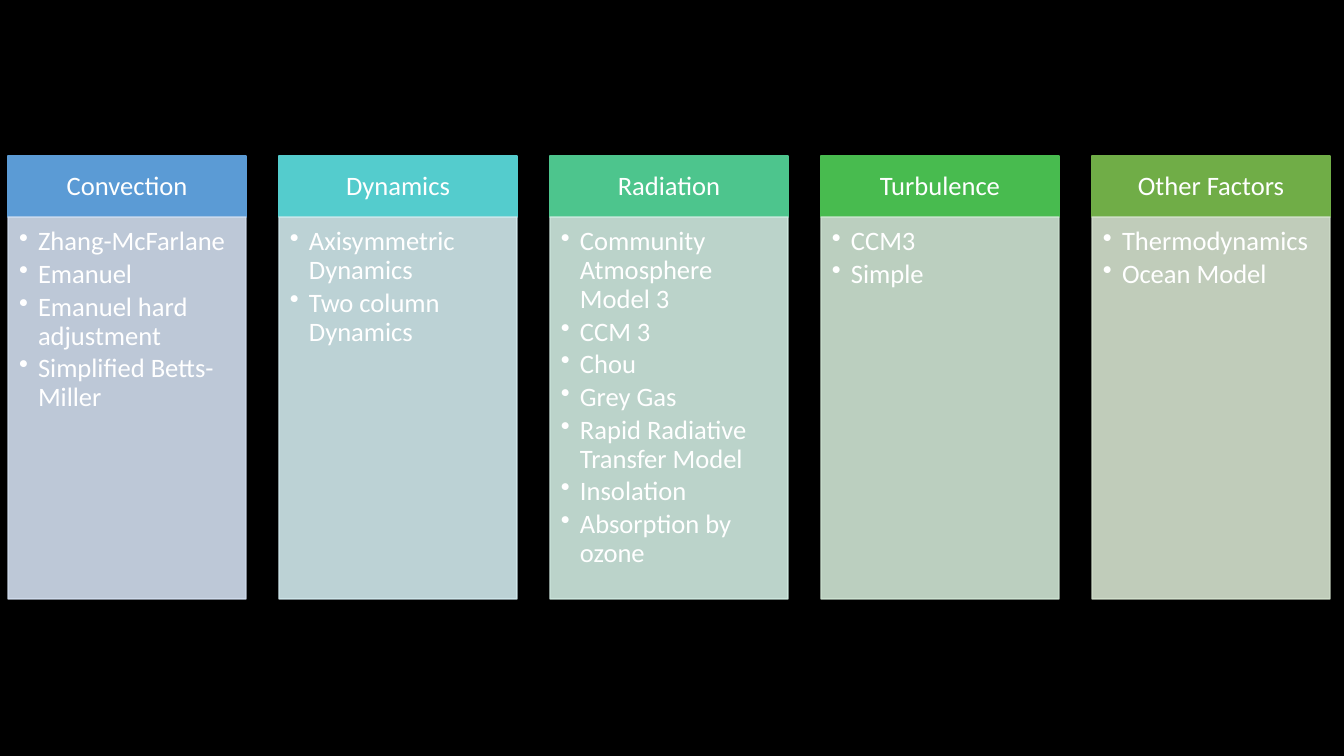
from dataclasses import dataclass

from lxml.etree import SubElement
from pptx import Presentation
from pptx.dml.color import RGBColor
from pptx.enum.shapes import MSO_SHAPE
from pptx.enum.text import MSO_ANCHOR, PP_ALIGN
from pptx.oxml.ns import qn
from pptx.shapes.autoshape import Shape
from pptx.slide import Slide
from pptx.text.text import _Paragraph
from pptx.util import Emu, Pt

SLIDE_WIDTH, SLIDE_HEIGHT = 1344, 756
FIRST_LEFT, COLUMN_STEP, COLUMN_WIDTH = 8, 271, 238
HEADER_TOP, HEADER_HEIGHT, BODY_HEIGHT = 156, 61, 382
HEADER_INSETS = (15, 8, 15, 8)
BODY_INSETS = (11, 11, 15, 17)
BULLET_INDENT = 19
FONT_NAME, FONT_SIZE = "Calibri", 19

COLORS = {
    "background": "000000",
    "text": "FFFFFF",
    "blue": "5B9BD5",
    "pale blue": "D2DEEF",
    "cyan": "54CCCD",
    "pale cyan": "D1E9ED",
    "teal": "4DC58D",
    "pale teal": "D0EAE1",
    "green": "48BB4F",
    "pale green": "D0E6D4",
    "olive": "70AD47",
    "pale olive": "D5E3CF",
}


@dataclass(frozen=True)
class ModelColumn:
    heading: str
    color: str
    options: tuple[str, ...]


COLUMNS = (
    ModelColumn("Convection", "blue", (
        "Zhang-McFarlane", "Emanuel", "Emanuel hard adjustment", "Simplified Betts-Miller")),
    ModelColumn("Dynamics", "cyan", ("Axisymmetric Dynamics", "Two column Dynamics")),
    ModelColumn("Radiation", "teal", (
        "Community Atmosphere Model 3", "CCM 3", "Chou", "Grey Gas",
        "Rapid Radiative Transfer Model", "Insolation", "Absorption by ozone")),
    ModelColumn("Turbulence", "green", ("CCM3", "Simple")),
    ModelColumn("Other Factors", "olive", ("Thermodynamics", "Ocean Model")),
)


def px(length: int) -> Emu:
    return Emu(round(length * 12192000 / SLIDE_WIDTH))


def rgb(name: str) -> RGBColor:
    return RGBColor.from_string(COLORS[name])


def add_panel(slide: Slide, left: int, top: int, height: int, color: str,
              insets: tuple[int, int, int, int], anchor: MSO_ANCHOR) -> Shape:
    panel = slide.shapes.add_shape(
        MSO_SHAPE.RECTANGLE, px(left), px(top), px(COLUMN_WIDTH), px(height))
    panel.shadow.inherit = False
    panel.fill.solid()
    panel.fill.fore_color.rgb = rgb(color)
    panel.line.color.rgb = rgb(color)
    panel.line.width = Pt(1)
    frame = panel.text_frame
    frame.word_wrap = True
    frame.vertical_anchor = anchor
    frame.margin_left, frame.margin_top, frame.margin_right, frame.margin_bottom = map(px, insets)
    return panel


def make_translucent(panel: Shape, percent: int) -> None:
    for color in panel.element.spPr.iter(qn("a:srgbClr")):
        SubElement(color, qn("a:alpha"), val=str(percent * 1000))


def write_text(paragraph: _Paragraph, text: str, alignment: PP_ALIGN, space_after: float) -> None:
    paragraph.alignment = alignment
    paragraph.line_spacing = 0.9
    paragraph.space_after = Pt(space_after)
    run = paragraph.add_run()
    run.text = text
    run.font.name = FONT_NAME
    run.font.size = Pt(FONT_SIZE)
    run.font.color.rgb = rgb("text")


def add_bullet(paragraph: _Paragraph) -> None:
    paragraph.level = 1
    properties = paragraph._p.get_or_add_pPr()
    properties.set("marL", str(px(BULLET_INDENT)))
    properties.set("indent", str(-px(BULLET_INDENT)))
    SubElement(properties, qn("a:buChar"), char="•")


def add_column(slide: Slide, left: int, column: ModelColumn) -> None:
    header = add_panel(slide, left, HEADER_TOP, HEADER_HEIGHT, column.color,
                       HEADER_INSETS, MSO_ANCHOR.MIDDLE)
    write_text(header.text_frame.paragraphs[0], column.heading, PP_ALIGN.CENTER, FONT_SIZE * 0.35)
    body = add_panel(slide, left, HEADER_TOP + HEADER_HEIGHT, BODY_HEIGHT,
                     f"pale {column.color}", BODY_INSETS, MSO_ANCHOR.TOP)
    make_translucent(body, 90)
    frame = body.text_frame
    for index, option in enumerate(column.options):
        paragraph = frame.add_paragraph() if index else frame.paragraphs[0]
        add_bullet(paragraph)
        write_text(paragraph, option, PP_ALIGN.LEFT, FONT_SIZE * 0.15)


def main() -> None:
    presentation = Presentation()
    presentation.slide_width = px(SLIDE_WIDTH)
    presentation.slide_height = px(SLIDE_HEIGHT)
    slide = presentation.slides.add_slide(presentation.slide_layouts[6])
    slide.background.fill.solid()
    slide.background.fill.fore_color.rgb = rgb("background")
    for index, column in enumerate(COLUMNS):
        add_column(slide, FIRST_LEFT + index * COLUMN_STEP, column)
    presentation.save("out.pptx")


if __name__ == "__main__":
    main()
